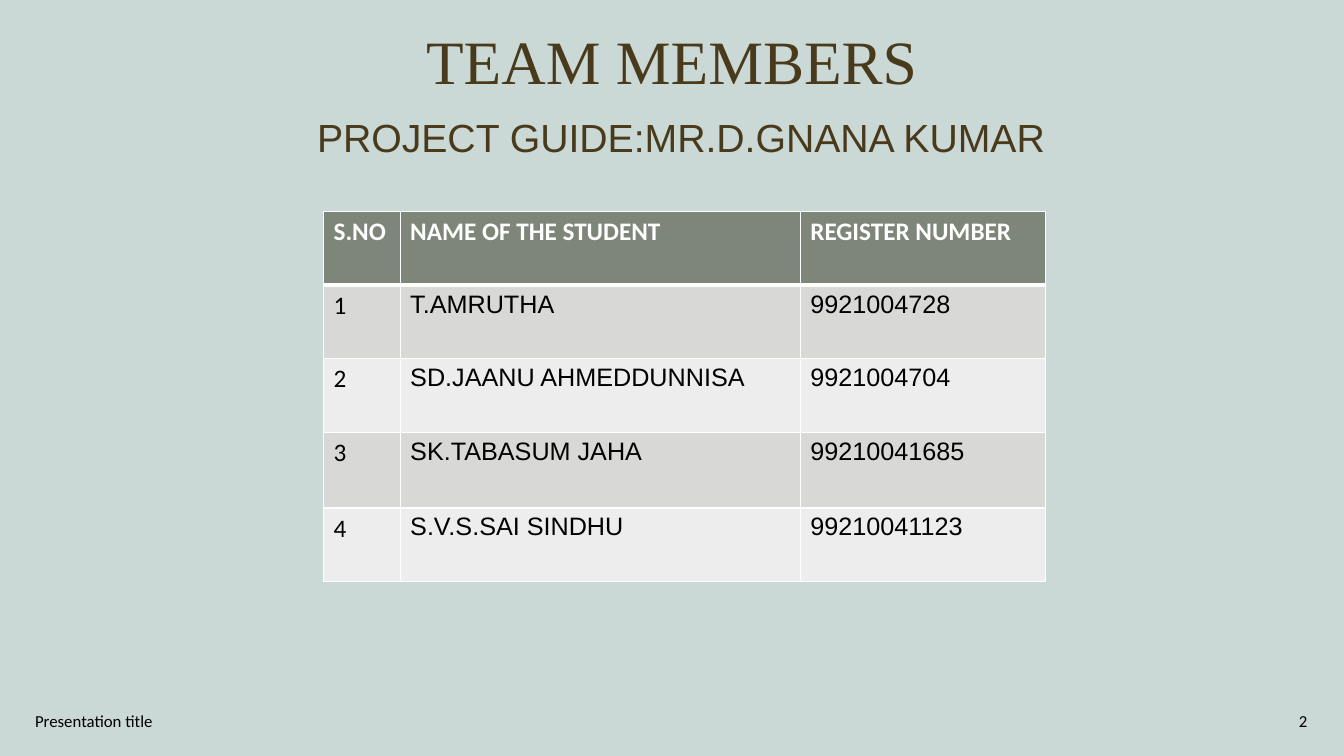
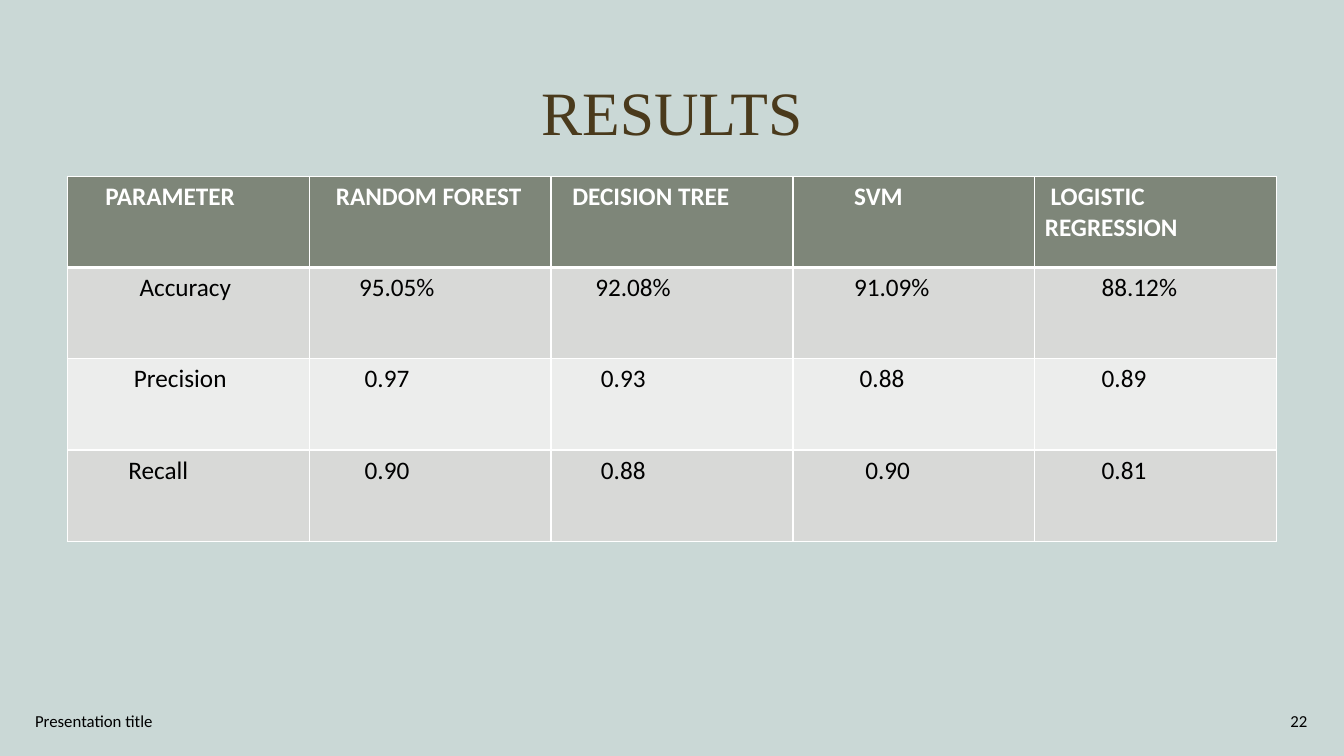
from pptx import Presentation
from pptx.dml.color import RGBColor
from pptx.enum.text import MSO_ANCHOR, MSO_AUTO_SIZE, PP_ALIGN
from pptx.oxml import parse_xml
from pptx.oxml.ns import nsdecls
from pptx.util import Pt

# Shared look
BACKGROUND, HEADING = "CAD8D6", "4A3A1C"
HEADER_FILL, BAND_FILLS = "7E8679", ("D8D9D7", "ECEDEC")
WHITE, BLACK = "FFFFFF", "000000"
SERIF, SANS, PLAIN = "Times New Roman", "Arial", "Calibri"
TITLE_ONLY, TITLE_AND_BODY = 5, 1

# Content: a cell is its text and its first-line indent in points
TEAM = {
    "title": "TEAM MEMBERS", "title_at": (66, 10.8, 828, 70.56),
    "guide": "PROJECT GUIDE:MR.D.GNANA KUMAR", "number": "2",
    "table_at": (231.12, 151.2),
    "columns": (54.72, 285.84, 174.96),
    "rows": (52.56, 52.56, 52.56, 54, 52.56),
    "fonts": (PLAIN, SANS, SANS),
    "cells": [
        [("S.NO", 0), ("NAME OF THE STUDENT", 0), ("REGISTER NUMBER", 0)],
        [("1", 0), ("T.AMRUTHA", 0), ("9921004728", 0)],
        [("2", 0), ("SD.JAANU AHMEDDUNNISA", 0), ("9921004704", 0)],
        [("3", 0), ("SK.TABASUM JAHA", 0), ("99210041685", 0)],
        [("4", 0), ("S.V.S.SAI SINDHU", 0), ("99210041123", 0)],
    ],
}
RESULTS = {
    "title": "RESULTS", "title_at": (66, 30.24, 828, 104.4),
    "guide": None, "number": "22",
    "table_at": (48, 126),
    "columns": (172.8,) * 5,
    "rows": (65.16,) * 4,
    "fonts": (PLAIN,) * 5,
    "cells": [
        [("PARAMETER", 20), ("RANDOM FOREST", 12), ("DECISION TREE", 8),
         ("SVM", 36.5), ("LOGISTIC REGRESSION", 4)],
        [("Accuracy", 44.5), ("95.05%", 28.5), ("92.08%", 24.5),
         ("91.09%", 36.5), ("88.12%", 40.5)],
        [("Precision", 40.5), ("0.97", 32.5), ("0.93", 28.5),
         ("0.88", 40.5), ("0.89", 40.5)],
        [("Recall", 36.5), ("0.90", 32.5), ("0.88", 28.5),
         ("0.90", 44.5), ("0.81", 40.5)],
    ],
}


def color(value):
    return RGBColor.from_string(value)


def place(shape, at):
    shape.left, shape.top, shape.width, shape.height = map(Pt, at)


def write(frame, text, size, font, ink, bold=False, indent=0,
          align=PP_ALIGN.LEFT):
    para = frame.paragraphs[0]
    para.alignment = align
    properties = para._p.get_or_add_pPr()
    properties.set("marL", "0")
    properties.set("indent", str(Pt(indent)))
    span = para.add_run()
    span.text = text
    span.font.size, span.font.name, span.font.bold = Pt(size), font, bold
    span.font.color.rgb = color(ink)
    return para


def add_heading(page, content):
    title = page.shapes.title
    place(title, content["title_at"])
    frame = title.text_frame
    frame.auto_size = MSO_AUTO_SIZE.NONE
    frame.vertical_anchor = MSO_ANCHOR.MIDDLE
    para = write(frame, content["title"], 44, SERIF, HEADING,
                 align=PP_ALIGN.CENTER)
    para.line_spacing = 0.9


def add_guide(page, text):
    body = page.placeholders[1]
    place(body, (48, 81.36, 864, 404.64))
    body.text_frame.auto_size = MSO_AUTO_SIZE.NONE
    para = write(body.text_frame, text, 28, SANS, HEADING, indent=171.25)
    para.line_spacing, para.space_before = 0.9, Pt(10)
    para._p.get_or_add_pPr().append(
        parse_xml(f"<a:buNone {nsdecls('a')}/>"))


def add_borders(cell, top, bottom):
    properties = cell._tc.get_or_add_tcPr()
    edges = (("lnL", 1), ("lnR", 1), ("lnT", top), ("lnB", bottom))
    for position, (edge, width) in enumerate(edges):
        properties.insert(position, parse_xml(
            f'<a:{edge} {nsdecls("a")} w="{Pt(width)}"><a:solidFill>'
            f'<a:srgbClr val="{WHITE}"/></a:solidFill></a:{edge}>'))


def add_grid(page, content):
    columns, rows = content["columns"], content["rows"]
    left, top = content["table_at"]
    table = page.shapes.add_table(
        len(rows), len(columns), Pt(left), Pt(top),
        Pt(sum(columns)), Pt(sum(rows))).table
    for column, width in zip(table.columns, columns):
        column.width = Pt(width)
    for row, height in zip(table.rows, rows):
        row.height = Pt(height)
    for r, line in enumerate(content["cells"]):
        header = r == 0
        for c, (text, indent) in enumerate(line):
            cell = table.cell(r, c)
            cell.fill.solid()
            cell.fill.fore_color.rgb = color(
                HEADER_FILL if header else BAND_FILLS[(r - 1) % 2])
            write(cell.text_frame, text, 18,
                  PLAIN if header else content["fonts"][c],
                  WHITE if header else BLACK, header, indent)
            # The rule under the header is thicker than the rest
            add_borders(cell, 3 if r == 1 else 1, 3 if header else 1)


def add_footer(page, number):
    parts = (("Presentation title", 18, 324, PP_ALIGN.LEFT),
             (number, 725, 216, PP_ALIGN.RIGHT))
    for text, left, width, align in parts:
        box = page.shapes.add_textbox(Pt(left), Pt(500.4), Pt(width), Pt(28.8))
        box.text_frame.word_wrap = True
        box.text_frame.vertical_anchor = MSO_ANCHOR.MIDDLE
        write(box.text_frame, text, 12, PLAIN, BLACK, align=align)


def main():
    deck = Presentation()
    deck.slide_width, deck.slide_height = Pt(960), Pt(540)
    backdrop = deck.slide_master.background.fill
    backdrop.solid()
    backdrop.fore_color.rgb = color(BACKGROUND)
    for content in (TEAM, RESULTS):
        layout = TITLE_AND_BODY if content["guide"] else TITLE_ONLY
        page = deck.slides.add_slide(deck.slide_layouts[layout])
        add_heading(page, content)
        if content["guide"]:
            add_guide(page, content["guide"])
        add_grid(page, content)
        add_footer(page, content["number"])
    deck.save("out.pptx")


if __name__ == "__main__":
    main()
